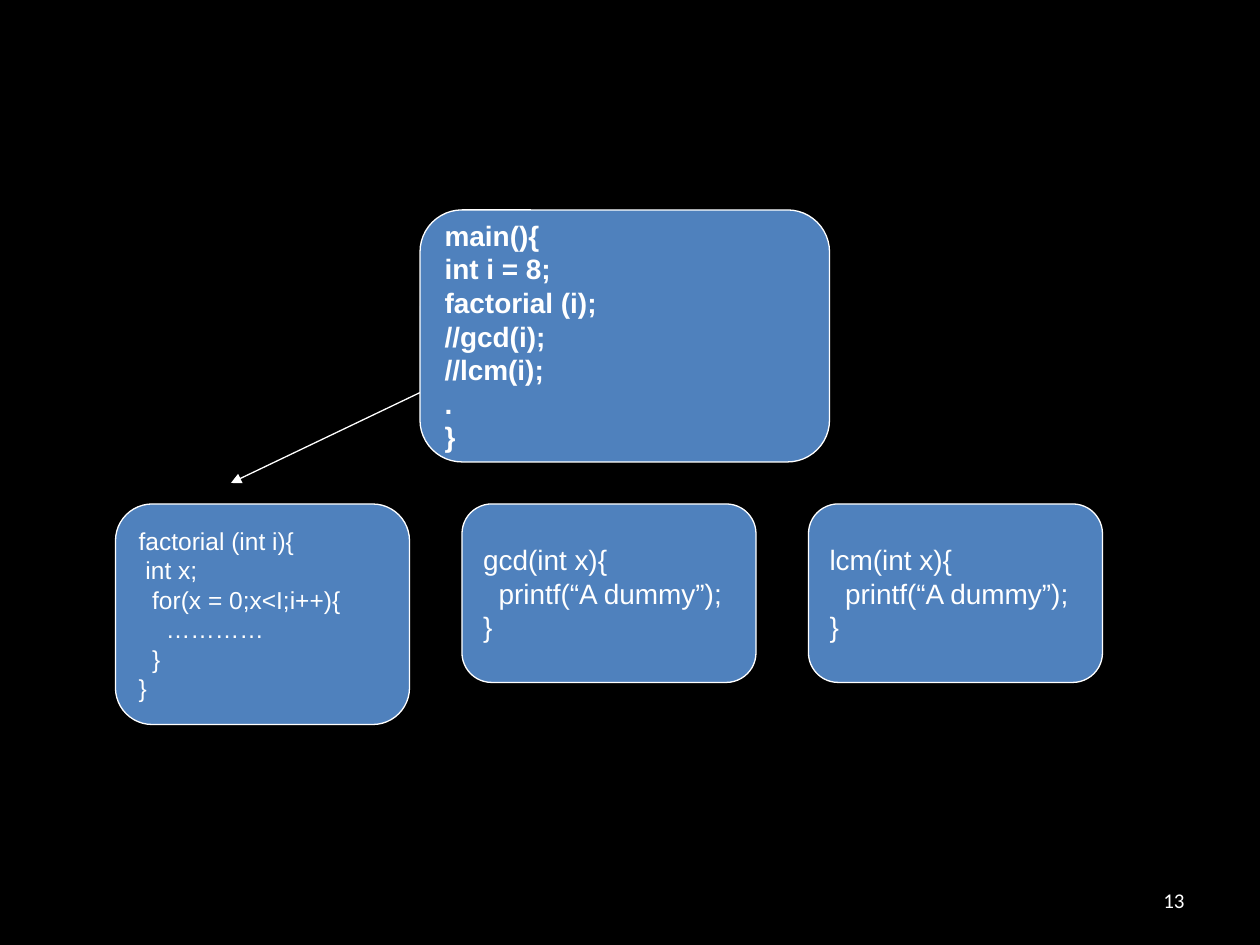
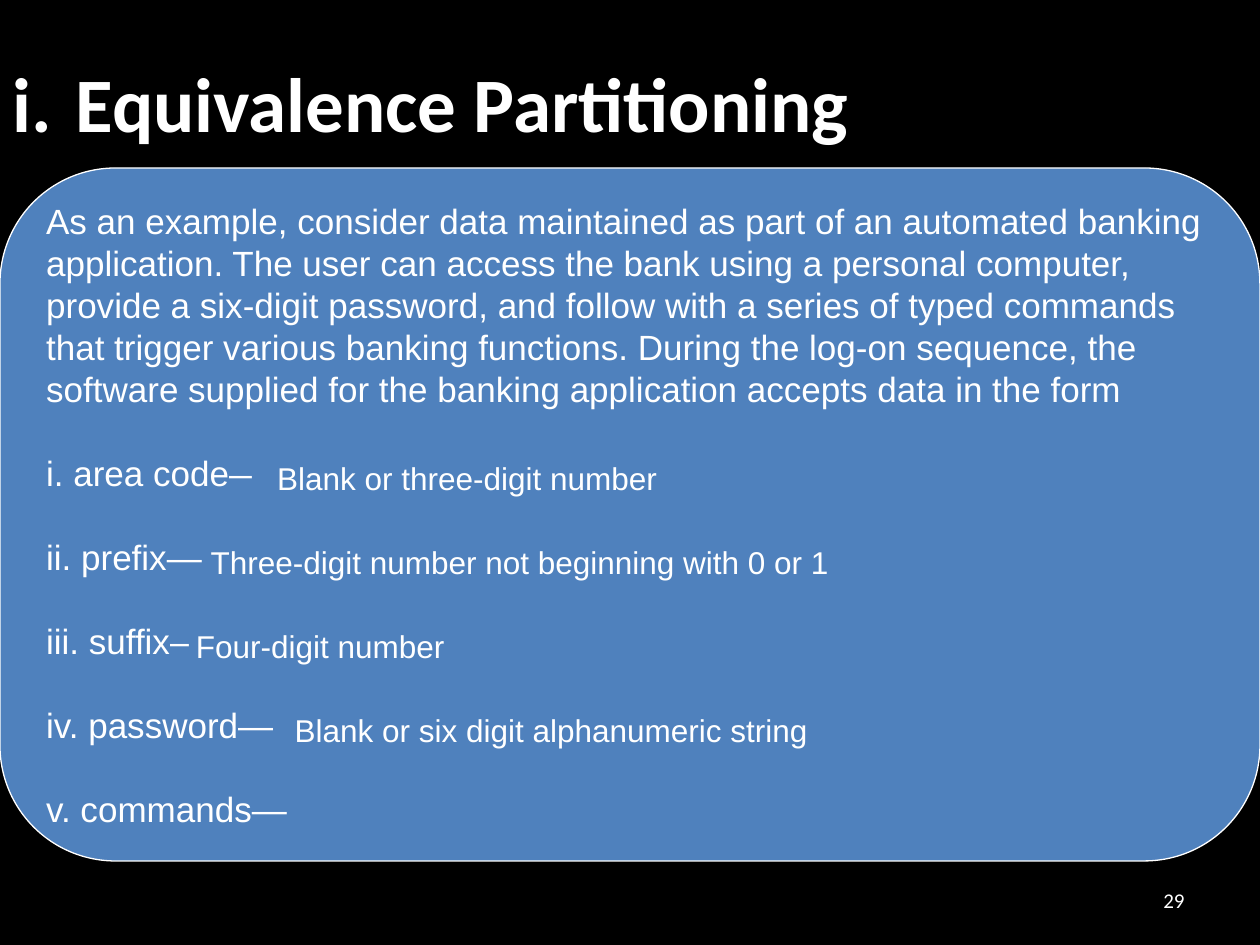
from dataclasses import dataclass

from lxml import etree
from pptx import Presentation
from pptx import util as u
from pptx.dml.color import RGBColor
from pptx.enum import shapes, text
from pptx.oxml import ns

BLACK = RGBColor(0x00, 0x00, 0x00)
WHITE = RGBColor(0xFF, 0xFF, 0xFF)
BLUE = RGBColor(0x4F, 0x81, 0xBD)

EMU_PER_PX = 9525
HAIRLINE = u.Pt(0.75)
LEADING = 1.2

ROUND = shapes.MSO_SHAPE.ROUNDED_RECTANGLE
RECT = shapes.MSO_SHAPE.RECTANGLE
LEFT, CENTER, RIGHT = text.PP_ALIGN.LEFT, text.PP_ALIGN.CENTER, text.PP_ALIGN.RIGHT

LAYOUT_TITLE_ONLY, LAYOUT_BLANK = 5, 6
CODE_TOP, CODE_LEFT, CODE_STEP, CODE_WIDTH = 384, 88, 264, 224
ANSWER_TOP, ANSWER_STEP, ANSWER_HEIGHT = 336, 64, 56


@dataclass(frozen=True)
class Box:
    left: int
    top: int
    width: int
    height: int
    lines: tuple[str, ...]
    size: int
    bold: bool = False
    gap: int = 0  # points before each paragraph but the first


@dataclass(frozen=True)
class Answer:
    left: int
    width: int
    wording: str


MAIN = Box(320, 160, 312, 192,
           ("main(){", "int i = 8;", "factorial (i);", "//gcd(i);", "//lcm(i);", ".", "}"),
           16, bold=True)

FACTORIAL = ("factorial (int i){", " int x;", "  for(x = 0;x<I;i++){",
             "    …………", "  }", "}")
DUMMY_BODY = ("  printf(“A dummy”);", "}")
FUNCTIONS = (
    (FACTORIAL, 168, 14),
    (("gcd(int x){", *DUMMY_BODY), 136, 16),
    (("lcm(int x){", *DUMMY_BODY), 136, 16),
)

EXAMPLE = Box(0, 128, 960, 528, (
    "As an example, consider data maintained as part of an automated banking "
    "application. The user can access the bank using a personal computer, "
    "provide a six-digit password, and follow with a series of typed commands "
    "that trigger various banking functions. During the log-on sequence, the "
    "software supplied for the banking application accepts data in the form",
    "i. area code—", "ii. prefix—", "iii. suffix—", "iv. password—", "v. commands—",
), 20, gap=24)

ANSWERS = (
    Answer(192, 328, "Blank or three-digit number"),
    Answer(200, 392, "Three-digit number not beginning with 0 or 1"),
    Answer(144, 200, "Four-digit number"),
    Answer(224, 392, "Blank or six digit alphanumeric string"),
)


def px(*lengths: int) -> tuple[u.Emu, ...]:
    return tuple(u.Emu(n * EMU_PER_PX) for n in lengths)


def format_text(tf, size: int, align, font: str = "Arial", bold: bool = False) -> None:
    for p in tf.paragraphs:
        p.alignment = align
        for r in p.runs:
            r.font.name = font
            r.font.size = u.Pt(size)
            r.font.bold = bold
            r.font.color.rgb = WHITE


def add_box(s, box: Box, kind=ROUND, align=LEFT):
    """Draw a blue box; rounded ones are outlined and wrap their text."""
    sp = s.shapes.add_shape(kind, *px(box.left, box.top, box.width, box.height))
    sp.shadow.inherit = False
    sp.fill.solid()
    sp.fill.fore_color.rgb = BLUE
    if kind == ROUND:
        sp.line.color.rgb = WHITE
        sp.line.width = HAIRLINE
    else:
        sp.line.fill.background()
    tf = sp.text_frame
    tf.word_wrap = kind == ROUND
    tf.vertical_anchor = text.MSO_ANCHOR.MIDDLE
    tf.text = "\n".join(box.lines)
    format_text(tf, box.size, align, bold=box.bold)
    for i, p in enumerate(tf.paragraphs):
        p.line_spacing = u.Pt(box.size * LEADING)
        if i and box.gap:
            p.space_before = u.Pt(box.gap)
    return sp


def add_arrow(s, start: tuple[int, int], end: tuple[int, int]) -> None:
    line = s.shapes.add_connector(shapes.MSO_CONNECTOR.STRAIGHT, *px(*start, *end))
    line.line.color.rgb = WHITE
    line.line.width = HAIRLINE
    etree.SubElement(line.line._get_or_add_ln(), ns.qn("a:tailEnd"), type="triangle")
    etree.SubElement(line._element.spPr, ns.qn("a:effectLst"))


def add_slide(prs, layout: int, number: int):
    """Add a slide with its page number."""
    s = prs.slides.add_slide(prs.slide_layouts[layout])
    tf = s.shapes.add_textbox(*px(688, 667, 224, 38)).text_frame
    tf.word_wrap = True
    tf.vertical_anchor = text.MSO_ANCHOR.MIDDLE
    tf.text = str(number)
    format_text(tf, 12, RIGHT, "Calibri")
    return s


def build_call_slide(prs) -> None:
    s = add_slide(prs, LAYOUT_BLANK, 13)
    for i, (lines, height, size) in enumerate(FUNCTIONS):
        left = CODE_LEFT + i * CODE_STEP
        add_box(s, Box(left, CODE_TOP, CODE_WIDTH, height, lines, size))
    add_arrow(s, (360, 280), (176, 368))
    add_box(s, MAIN)


def build_partitioning_slide(prs) -> None:
    s = add_slide(prs, LAYOUT_TITLE_ONLY, 29)
    title = s.shapes.title
    title.left, title.top, title.width, title.height = px(0, 0, 816, 155)
    title.text_frame.text = "i.\tEquivalence Partitioning"
    title.text_frame.vertical_anchor = text.MSO_ANCHOR.MIDDLE
    format_text(title.text_frame, 44, LEFT, "Calibri", bold=True)
    add_box(s, EXAMPLE)
    for i, a in enumerate(ANSWERS):
        top = ANSWER_TOP + i * ANSWER_STEP
        add_box(s, Box(a.left, top, a.width, ANSWER_HEIGHT, (a.wording,), 18), RECT, CENTER)


def main() -> None:
    prs = Presentation()
    prs.slide_width, prs.slide_height = px(960, 720)
    fill = prs.slide_master.background.fill
    fill.solid()
    fill.fore_color.rgb = BLACK
    build_call_slide(prs)
    build_partitioning_slide(prs)
    prs.save("out.pptx")


if __name__ == "__main__":
    main()
